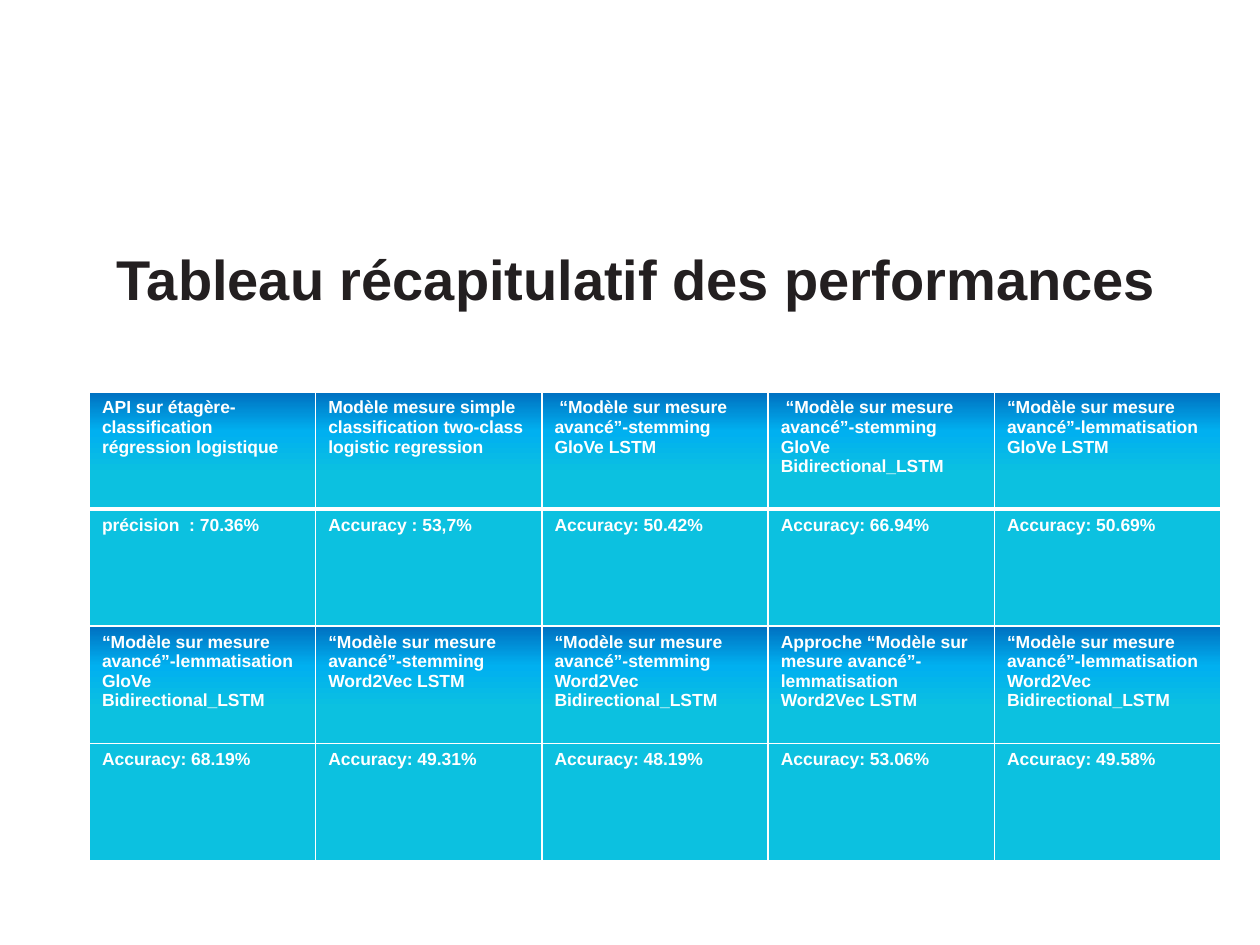
from lxml import etree
from pptx import Presentation
from pptx.dml.color import RGBColor
from pptx.enum.text import MSO_ANCHOR
from pptx.oxml.ns import qn
from pptx.util import Inches, Pt

MIDDLE = MSO_ANCHOR.MIDDLE
FONT = "Arial"
WHITE = "FFFFFF"
DARK = "231F20"
CYAN = "0CC1E0"
GRADIENT = [(0, "0070C0"), (34, "00B0F0"), (71, CYAN), (100, CYAN)]

MODELS_1 = [
    "API sur étagère-classification régression logistique",
    "Modèle mesure simple classification two-class logistic regression",
    " “Modèle sur mesure avancé”-stemming GloVe LSTM",
    " “Modèle sur mesure avancé”-stemming GloVe Bidirectional_LSTM",
    "“Modèle sur mesure avancé”-lemmatisation GloVe LSTM",
]
SCORES_1 = [
    "précision  : 70.36%",
    "Accuracy : 53,7%",
    "Accuracy: 50.42%",
    "Accuracy: 66.94%",
    "Accuracy: 50.69%",
]
MODELS_2 = [
    "“Modèle sur mesure avancé”-lemmatisation GloVe Bidirectional_LSTM",
    "“Modèle sur mesure avancé”-stemming Word2Vec LSTM",
    "“Modèle sur mesure avancé”-stemming Word2Vec Bidirectional_LSTM",
    "Approche “Modèle sur mesure avancé”-lemmatisation Word2Vec LSTM",
    "“Modèle sur mesure avancé”-lemmatisation Word2Vec Bidirectional_LSTM",
]
SCORES_2 = [
    "Accuracy: 68.19%",
    "Accuracy: 49.31%",
    "Accuracy: 48.19%",
    "Accuracy: 53.06%",
    "Accuracy: 49.58%",
]
ROWS = [MODELS_1, SCORES_1, MODELS_2, SCORES_2]


def rgb(color):
    return RGBColor.from_string(color)


def set_text(tf, text, size, color):
    tf.text = text
    tf.word_wrap = True
    font = tf.paragraphs[0].runs[0].font
    font.name = FONT
    font.size = Pt(size)
    font.bold = True
    font.color.rgb = rgb(color)


def add_xml_color(parent, color):
    etree.SubElement(parent, qn("a:srgbClr"), val=color)


def add_border(tc_pr, side, width):
    line = etree.SubElement(tc_pr, qn(f"a:ln{side}"), w=str(Pt(width)))
    add_xml_color(etree.SubElement(line, qn("a:solidFill")), WHITE)


def add_gradient(tc_pr):
    grad = etree.SubElement(tc_pr, qn("a:gradFill"), rotWithShape="1")
    stops = etree.SubElement(grad, qn("a:gsLst"))
    for pos, color in GRADIENT:
        add_xml_color(etree.SubElement(stops, qn("a:gs"), pos=str(pos * 1000)), color)
    etree.SubElement(grad, qn("a:lin"), ang="5400000", scaled="0")


def style_cell(cell, text, row):
    set_text(cell.text_frame, text, 10, WHITE)
    tc_pr = cell._tc.get_or_add_tcPr()
    widths = {"L": 1, "R": 1, "T": 3 if row == 1 else 1, "B": 3 if row == 0 else 1}
    for side, width in widths.items():
        add_border(tc_pr, side, width)
    if row % 2 == 0:
        add_gradient(tc_pr)
    else:
        cell.fill.solid()
        cell.fill.fore_color.rgb = rgb(CYAN)


def add_title(s, text):
    sp = s.shapes.add_textbox(Inches(0.83), Inches(1.85), Inches(8.74), Inches(0.71))
    tf = sp.text_frame
    set_text(tf, text, 32, DARK)
    tf.vertical_anchor = MIDDLE


def add_results(s, rows):
    frame = s.shapes.add_table(
        len(rows), len(rows[0]), Inches(0.71), Inches(3.11), Inches(8.98), Inches(3.72)
    )
    for i, texts in enumerate(rows):
        for j, text in enumerate(texts):
            style_cell(frame.table.cell(i, j), text, i)


def main():
    prs = Presentation()
    prs.slide_width = Inches(10)
    prs.slide_height = Inches(7.5)
    s = prs.slides.add_slide(prs.slide_layouts[6])
    add_title(s, "Tableau récapitulatif des performances")
    add_results(s, ROWS)
    prs.save("out.pptx")


if __name__ == "__main__":
    main()
